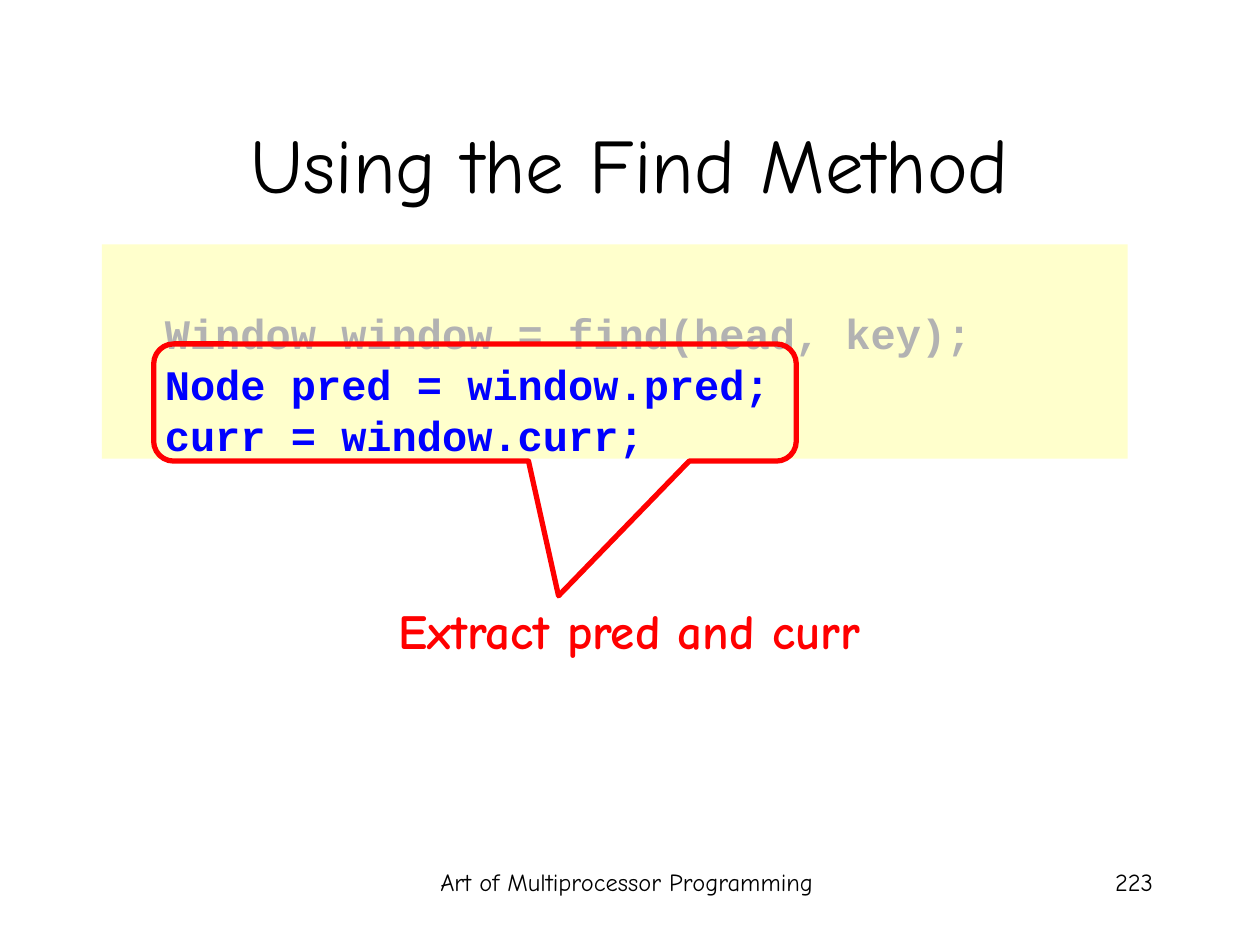
from pptx import Presentation
from pptx.dml.color import RGBColor
from pptx.enum.shapes import MSO_SHAPE as SHAPE
from pptx.enum.text import MSO_ANCHOR as ANCHOR, PP_ALIGN as ALIGN
from pptx.util import Inches, Pt

BLACK = RGBColor(0, 0, 0)
RED = RGBColor(255, 0, 0)
BLUE = RGBColor(0, 0, 255)
GRAY = RGBColor(0xB2, 0xB2, 0xB2)
CREAM = RGBColor(255, 255, 0xCC)
HAND, MONO = "Comic Neue", "Courier New"


def write(p, text, align, color, **font):
    p.alignment = align
    r = p.add_run()
    r.text = text
    r.font.color.rgb = color
    for name, value in font.items():
        setattr(r.font, name, value)


def add_label(box, text, align, color, **font):
    tf = s.shapes.add_textbox(*map(Inches, box)).text_frame
    tf.word_wrap = True
    write(tf.paragraphs[0], text, align, color, name=HAND, **font)


prs = Presentation()
prs.slide_width, prs.slide_height = Inches(10), Inches(7.5)
s = prs.slides.add_slide(prs.slide_layouts[5])

title = s.shapes.title
title.left, title.top, title.width, title.height = map(Inches, (0.75, 0.67, 8.5, 1.25))
title.text_frame.vertical_anchor = ANCHOR.MIDDLE
write(title.text_frame.paragraphs[0], "Using the Find Method", ALIGN.CENTER, BLACK,
      name=HAND, size=Pt(44))

add_label((3.1, 6.83, 3.75, 0.5), "Art of Multiprocessor Programming",
          ALIGN.CENTER, BLACK, size=Pt(14))
add_label((7.17, 6.83, 2.08, 0.5), "223", ALIGN.RIGHT, BLACK, size=Pt(14))

panel = s.shapes.add_shape(SHAPE.RECTANGLE, *map(Inches, (0.81, 1.94, 8.14, 1.7)))
panel.shadow.inherit = False
panel.fill.solid()
panel.fill.fore_color.rgb = CREAM
panel.line.fill.background()
tf = panel.text_frame
tf.word_wrap = True
tf.vertical_anchor = ANCHOR.TOP
tf.margin_top, tf.margin_bottom = Inches(0.5), Inches(0)
code = [
    ("  Window window = find(head, key);", GRAY),
    ("  Node pred = window.pred;", BLUE),
    ("  curr = window.curr;", BLUE),
]
for i, (line, color) in enumerate(code):
    p = tf.add_paragraph() if i else tf.paragraphs[0]
    p.line_spacing = Pt(29)
    write(p, line, ALIGN.LEFT, color, name=MONO, size=Pt(24), bold=True)

callout = s.shapes.add_shape(SHAPE.ROUNDED_RECTANGULAR_CALLOUT,
                             *map(Inches, (1.22, 2.73, 5.1, 0.93)))
callout.shadow.inherit = False
callout.fill.background()
callout.line.color.rgb = RED
callout.line.width = Pt(3)
for i, value in enumerate((0.13, 1.65, 0.17)):
    callout.adjustments[i] = value

add_label((1.39, 4.72, 7.21, 0.57), "Extract pred and curr", ALIGN.CENTER, RED,
          size=Pt(28), bold=True)

prs.save("out.pptx")
